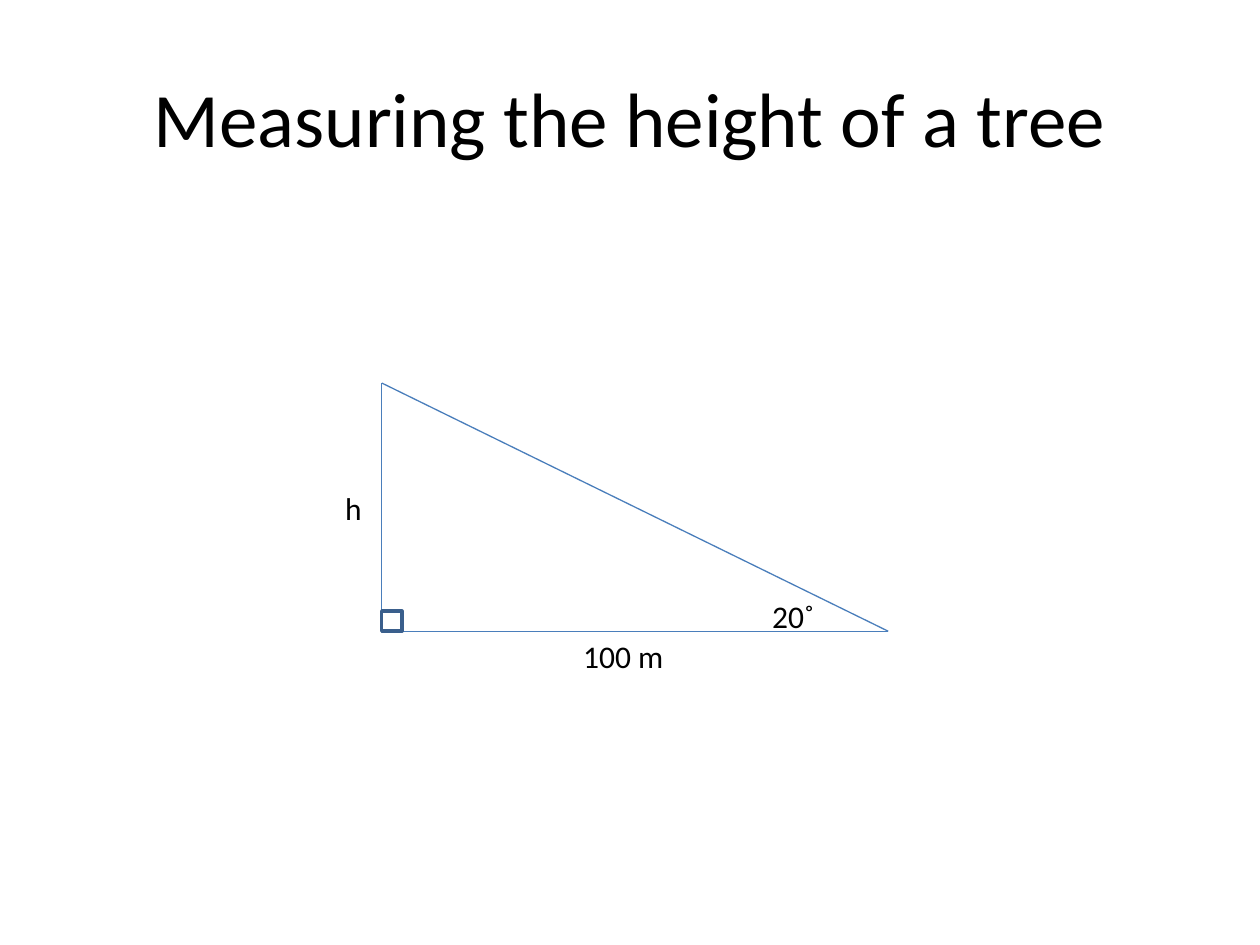
from dataclasses import dataclass
from itertools import combinations

from pptx import Presentation
from pptx.dml.color import RGBColor
from pptx.enum.shapes import MSO_CONNECTOR, MSO_SHAPE
from pptx.enum.text import MSO_ANCHOR, MSO_AUTO_SIZE, PP_ALIGN
from pptx.oxml.ns import qn
from pptx.util import Inches, Pt


@dataclass(frozen=True)
class Theme:
    """Hold the colours, font and sizes of the slide."""

    font: str = "Calibri"
    text: RGBColor = RGBColor(0x00, 0x00, 0x00)
    paper: RGBColor = RGBColor(0xFF, 0xFF, 0xFF)
    side: RGBColor = RGBColor(0x4A, 0x7E, 0xBB)
    marker: RGBColor = RGBColor(0x3A, 0x5F, 0x8C)
    title_size: Pt = Pt(44)
    label_size: Pt = Pt(18)
    side_width: Pt = Pt(0.75)
    marker_width: Pt = Pt(2)


THEME = Theme()


def add_text(slide, text, left, top, width, height, size):
    """Add a one-run text box and return its shape."""
    shape = slide.shapes.add_textbox(
        Inches(left), Inches(top), Inches(width), Inches(height)
    )
    run = shape.text_frame.paragraphs[0].add_run()
    run.text = text
    run.font.name = THEME.font
    run.font.size = size
    run.font.color.rgb = THEME.text
    return shape


def add_title(slide, text, left, top, width, height):
    """Add the centred slide title in the given box."""
    shape = add_text(slide, text, left, top, width, height, THEME.title_size)
    shape.text_frame.word_wrap = True
    shape.text_frame.vertical_anchor = MSO_ANCHOR.MIDDLE
    shape.text_frame.paragraphs[0].alignment = PP_ALIGN.CENTER


def add_label(slide, text, left, top, width):
    """Add a measurement label on a single line."""
    shape = add_text(slide, text, left, top, width, 0.4, THEME.label_size)
    shape.text_frame.word_wrap = False
    shape.text_frame.auto_size = MSO_AUTO_SIZE.SHAPE_TO_FIT_TEXT


def add_side(slide, start, end):
    """Add one side of the triangle between two corners."""
    side = slide.shapes.add_connector(
        MSO_CONNECTOR.STRAIGHT, *(Inches(value) for value in start + end)
    )
    side.line.color.rgb = THEME.side
    side.line.width = THEME.side_width
    properties = side._element.spPr
    properties.append(properties.makeelement(qn("a:effectLst"), {}))


def add_right_angle(slide, left, bottom, size):
    """Add the square marker that sits in the right-angled corner."""
    marker = slide.shapes.add_shape(
        MSO_SHAPE.RECTANGLE,
        Inches(left), Inches(bottom - size), Inches(size), Inches(size),
    )
    marker.shadow.inherit = False
    marker.fill.solid()
    marker.fill.fore_color.rgb = THEME.paper
    marker.line.color.rgb = THEME.marker
    marker.line.width = THEME.marker_width


def add_triangle(slide, left, top, width, height):
    """Add the labelled right triangle in the given box."""
    bottom = top + height
    corners = [(left, top), (left, bottom), (left + width, bottom)]
    for start, end in combinations(corners, 2):
        add_side(slide, start, end)
    add_label(slide, "h", left - 0.39, top + 0.79, 0.35)
    add_label(slide, "100 m", left + 1.5, bottom, 0.88)
    add_label(slide, "20˚", left + 3, bottom - 0.32, 0.58)
    add_right_angle(slide, left, bottom, 0.16)


def main():
    """Build and save the presentation."""
    presentation = Presentation()
    presentation.slide_width = Inches(10)
    presentation.slide_height = Inches(7.5)
    slide = presentation.slides.add_slide(presentation.slide_layouts[6])
    add_title(slide, "Measuring the height of a tree", 0.5, 0.3, 9, 1.25)
    add_triangle(slide, 3.03, 3.04, 4.02, 1.97)
    presentation.save("out.pptx")


if __name__ == "__main__":
    main()
